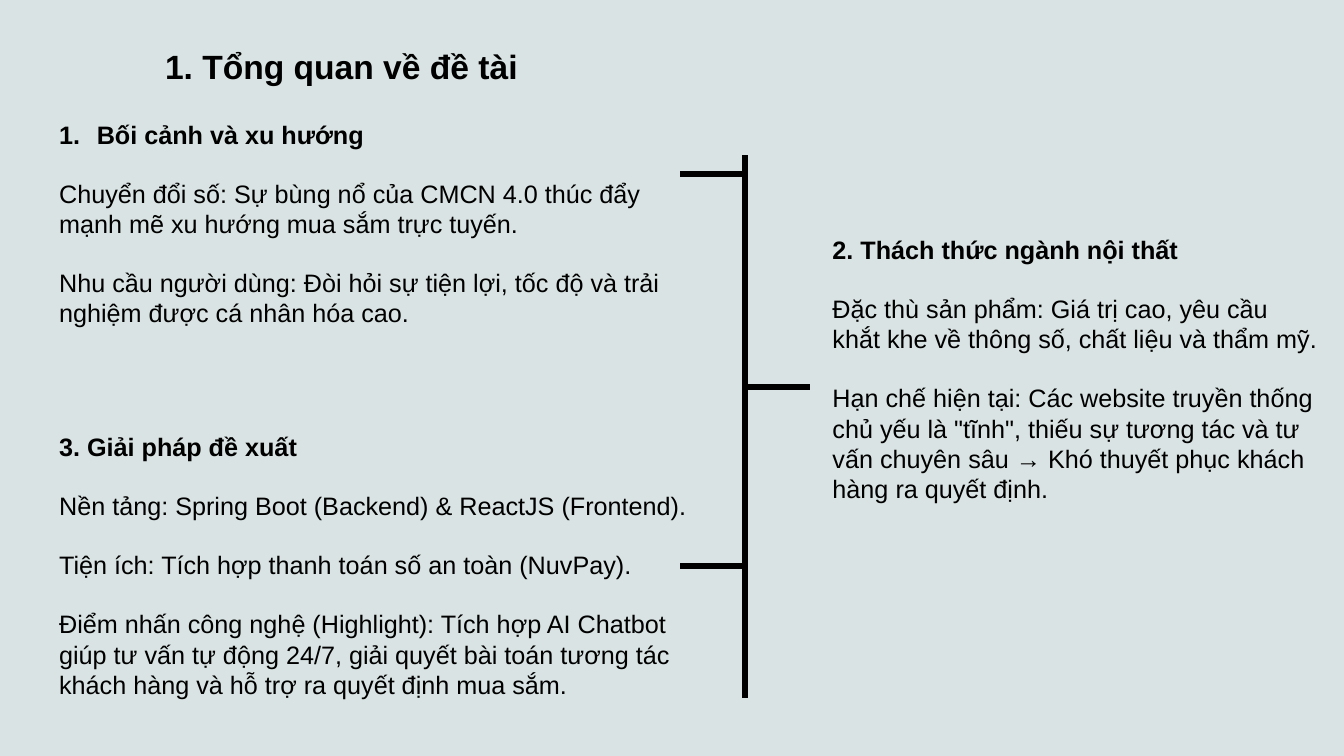
from dataclasses import dataclass

from lxml.etree import SubElement
from pptx import Presentation
from pptx.dml.color import RGBColor
from pptx.enum.shapes import MSO_CONNECTOR
from pptx.oxml.ns import qn
from pptx.slide import Slide
from pptx.util import Cm, Pt


@dataclass(frozen=True)
class Theme:
    """Colours, font and sizes of the slide."""
    ground: RGBColor = RGBColor(0xDA, 0xE3, 0xE3)
    ink: RGBColor = RGBColor(0, 0, 0)
    font: str = "Arial"
    title: float = 24
    body: float = 18
    gap: float = 20.7
    rule: float = 4.5


@dataclass(frozen=True)
class Block:
    """A text box with a bold heading and its paragraphs, in cm."""
    left: float
    top: float
    width: float
    height: float
    head: str
    items: tuple[str, ...] = ()
    size: float = Theme.body
    auto: bool = False


@dataclass(frozen=True)
class Branch:
    """A short line leaving the spine, in cm."""
    top: float
    reach: float


THEME = Theme()
EDGE = 1.24
SPINE = 18.77
REACH = 1.64

BLOCKS = (
    Block(3.91, 1.04, 10.59, 1.27, "1. Tổng quan về đề tài", size=THEME.title),
    Block(EDGE, 2.87, 15.67, 6.4, "Bối cảnh và xu hướng", (
        "Chuyển đổi số: Sự bùng nổ của CMCN 4.0 thúc đẩy mạnh mẽ xu hướng mua sắm trực tuyến.",
        "Nhu cầu người dùng: Đòi hỏi sự tiện lợi, tốc độ và trải nghiệm được cá nhân hóa cao.",
    ), auto=True),
    Block(20.73, 5.77, 12.73, 7.21, "2. Thách thức ngành nội thất", (
        "Đặc thù sản phẩm: Giá trị cao, yêu cầu khắt khe về thông số, chất liệu và thẩm mỹ.",
        "Hạn chế hiện tại: Các website truyền thống chủ yếu là \"tĩnh\", thiếu sự tương tác "
        "và tư vấn chuyên sâu → Khó thuyết phục khách hàng ra quyết định.",
    )),
    Block(EDGE, 10.74, 16.66, 7.19, "3. Giải pháp đề xuất", (
        "Nền tảng: Spring Boot (Backend) & ReactJS (Frontend).",
        "Tiện ích: Tích hợp thanh toán số an toàn (NuvPay).",
        "Điểm nhấn công nghệ (Highlight): Tích hợp AI Chatbot giúp tư vấn tự động 24/7, "
        "giải quyết bài toán tương tác khách hàng và hỗ trợ ra quyết định mua sắm.",
    )),
)

BRANCHES = (Branch(4.39, -REACH), Branch(9.75, REACH), Branch(14.27, -REACH))


def add_block(slide: Slide, block: Block) -> None:
    """Draw a heading and its paragraphs."""
    box = slide.shapes.add_textbox(
        Cm(block.left), Cm(block.top), Cm(block.width), Cm(block.height))
    frame = box.text_frame
    frame.word_wrap = True
    frame.text = "\n".join((block.head, *block.items))
    for index, para in enumerate(frame.paragraphs):
        font = para.font
        font.name = THEME.font
        font.size = Pt(block.size)
        font.bold = index == 0
        font.color.rgb = THEME.ink
        para.space_before = Pt(THEME.gap if index else 0)
    if block.auto:
        props = frame.paragraphs[0]._p.get_or_add_pPr()
        props.set("marL", str(Cm(0.95)))
        props.set("indent", str(-Cm(0.95)))
        mark = props.makeelement(qn("a:buAutoNum"), {"type": "arabicPeriod"})
        props.insert_element_before(mark, "a:tabLst", "a:defRPr", "a:extLst")


def add_line(slide: Slide, left: float, top: float, right: float, base: float) -> None:
    """Draw a thick straight line between two points."""
    line = slide.shapes.add_connector(
        MSO_CONNECTOR.STRAIGHT, Cm(left), Cm(top), Cm(right), Cm(base))
    line.line.color.rgb = THEME.ink
    line.line.width = Pt(THEME.rule)
    SubElement(line._element.spPr, qn("a:effectLst"))


def main() -> None:
    """Build and save the slide."""
    deck = Presentation()
    deck.slide_width, deck.slide_height = Cm(33.87), Cm(19.05)
    slide = deck.slides.add_slide(deck.slide_layouts[6])
    fill = slide.background.fill
    fill.solid()
    fill.fore_color.rgb = THEME.ground
    for block in BLOCKS:
        add_block(slide, block)
    add_line(slide, SPINE, 3.91, SPINE, 17.58)
    for branch in BRANCHES:
        add_line(slide, SPINE, branch.top, SPINE + branch.reach, branch.top)
    deck.save("out.pptx")


if __name__ == "__main__":
    main()
